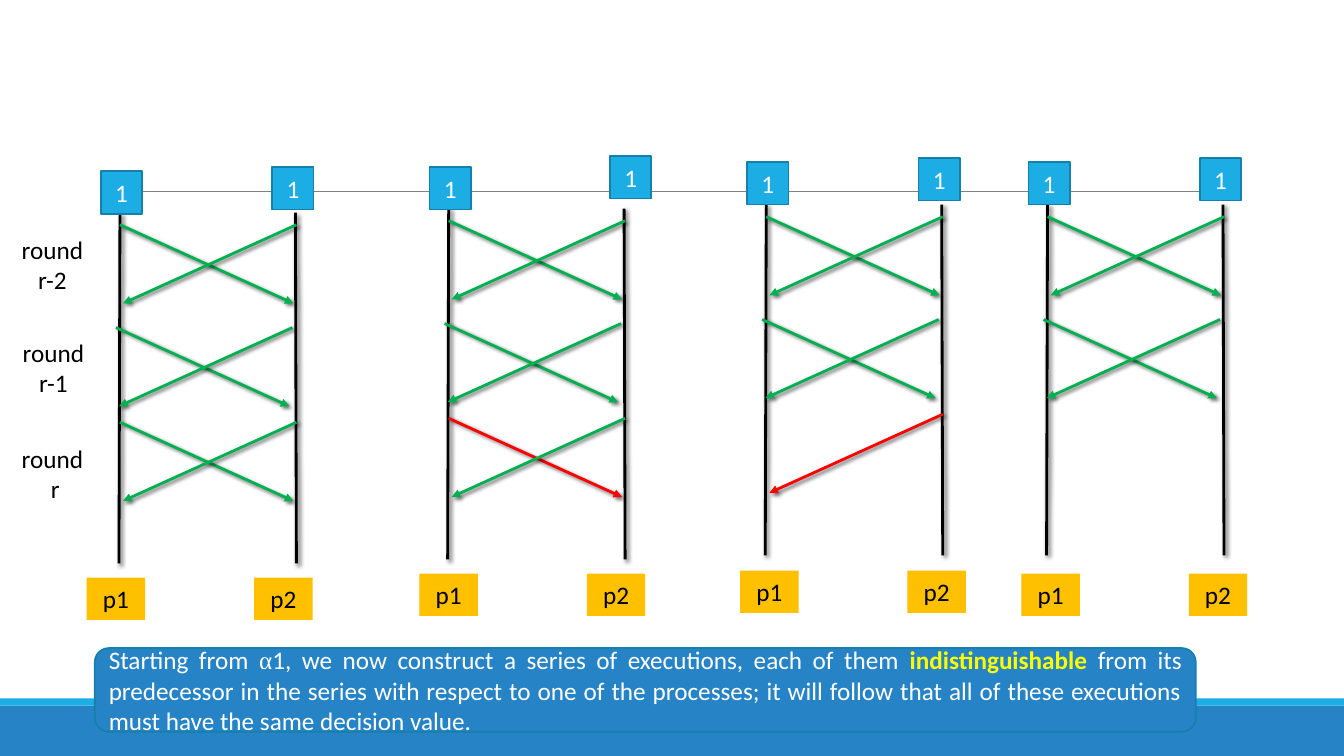
import pptx
import pptx.dml.color
import pptx.enum.shapes
import pptx.enum.text
import pptx.oxml
import pptx.oxml.ns
import pptx.util
from pptx.util import Inches

SHAPE = pptx.enum.shapes.MSO_SHAPE
ALIGN = pptx.enum.text.PP_ALIGN
BLUE, CYAN, EDGE = "2683C6", "1CADE4", "1580A9"
GREEN, RED, BLACK, WHITE = "00B050", "FF0000", "000000", "FFFFFF"

# Each execution: top of the p1 line, input box offsets and tops,
# process label left and top, and the message colours (p1 to p2, p2 to p1) by round
EXECUTIONS = [
    dict(x=1.19, y=2.11, gap=1.7, tops=(1.7, 1.66), label=(0.86, 5.73),
         rounds=[(GREEN, GREEN), (GREEN, GREEN), (GREEN, GREEN)]),
    dict(x=4.45, y=2.07, gap=1.79, tops=(1.66, 1.55), label=(4.16, 5.69),
         rounds=[(GREEN, GREEN), (GREEN, GREEN), (RED, GREEN)]),
    dict(x=7.6, y=2.03, gap=1.7, tops=(1.61, 1.57), label=(7.34, 5.66),
         rounds=[(GREEN, GREEN), (GREEN, GREEN), (None, RED)]),
    dict(x=10.39, y=2.03, gap=1.7, tops=(1.61, 1.57), label=(10.13, 5.69),
         rounds=[(GREEN, GREEN), (GREEN, GREEN)]),
]
ROUND_OFFSETS = [(0, 0.12), (-0.04, 1.14), (0, 2.08)]
SHADOW = (
    '<a:outerShdw blurRad="38100" dist="25400" dir="2700000" algn="tl" rotWithShape="0">'
    '<a:srgbClr val="000000"><a:alpha val="60000"/></a:srgbClr></a:outerShdw>'
)


def rgb(color):
    return pptx.dml.color.RGBColor.from_string(color)


def add_run(p, text, size=18, font="Calibri", color=BLACK, bold=False):
    r = p.add_run()
    r.text = text
    r.font.size = pptx.util.Pt(size)
    r.font.name = font
    r.font.bold = bold
    r.font.color.rgb = rgb(color)


def add_box(s, x, y, w, h, fill, edge=None, kind=SHAPE.RECTANGLE, paragraphs=(),
            align=ALIGN.CENTER, color=BLACK):
    """Add a filled shape; each paragraph is a list of (text, format) runs."""
    sp = s.shapes.add_shape(kind, Inches(x), Inches(y), Inches(w), Inches(h))
    sp.shadow.inherit = False
    sp.fill.solid()
    sp.fill.fore_color.rgb = rgb(fill)
    if edge:
        sp.line.color.rgb = rgb(edge)
        sp.line.width = pptx.util.Pt(1.25)
    else:
        sp.line.fill.background()
    tf = sp.text_frame
    tf.word_wrap = True
    tf.vertical_anchor = pptx.enum.text.MSO_ANCHOR.MIDDLE
    for i, runs in enumerate(paragraphs):
        p = tf.add_paragraph() if i else tf.paragraphs[0]
        p.alignment = align
        for text, style in runs:
            add_run(p, text, **{"color": color, **style})


def add_line(s, x1, y1, x2, y2, color=BLACK, width=2, arrow=False, shadow=True):
    ln = s.shapes.add_connector(pptx.enum.shapes.MSO_CONNECTOR.STRAIGHT,
                                Inches(x1), Inches(y1), Inches(x2), Inches(y2))
    ln.line.color.rgb = rgb(color)
    ln.line.width = pptx.util.Pt(width)
    if arrow:
        tail = pptx.oxml.parse_xml(
            f'<a:tailEnd {pptx.oxml.ns.nsdecls("a")} type="triangle"/>')
        ln.line._get_or_add_ln().append(tail)
    effects = SHADOW if shadow else ""
    ln._element.spPr.append(pptx.oxml.parse_xml(
        f'<a:effectLst {pptx.oxml.ns.nsdecls("a")}>{effects}</a:effectLst>'))


def add_execution(s, x, y, gap, tops, label, rounds):
    # Process lines
    add_line(s, x, y, x - 0.01, y + 3.48)
    add_line(s, x + 1.74, y, x + 1.75, y + 3.48)
    # Messages
    for (dx, dy), (right, left) in zip(ROUND_OFFSETS, rounds):
        mx, my = x + dx, y + dy
        if right:
            add_line(s, mx, my, mx + 1.72, my + 0.78, right, arrow=True)
        if left:
            add_line(s, mx + 1.75, my, mx + 0.03, my + 0.78, left, arrow=True)
    # Input values and process names
    for i, top in enumerate(tops):
        add_box(s, x - 0.19 + i * gap, top, 0.41, 0.42, CYAN, EDGE,
                paragraphs=[[("1", {})]], color=WHITE)
        add_box(s, label[0] + i * 1.66, label[1], 0.58, 0.42, "FFC000",
                paragraphs=[[(f"p{i + 1}", {})]])


def main():
    prs = pptx.Presentation()
    prs.slide_width, prs.slide_height = Inches(13.33), Inches(7.5)
    s = prs.slides.add_slide(prs.slide_layouts[6])

    # Footer bands and title rule
    add_box(s, 0, 7, 13.33, 0.5, BLUE)
    add_box(s, 0, 6.93, 13.33, 0.07, CYAN)
    add_line(s, 1.31, 1.9, 12.21, 1.9, "808080", 0.5, shadow=False)

    for execution in EXECUTIONS:
        add_execution(s, **execution)

    # Round labels
    for x, y, lines in [(0.04, 2.38, ["round r-2"]), (0.05, 3.4, ["round r-1"]),
                        (0.04, 4.45, ["round", " r"])]:
        add_box(s, x, y, 0.96, 0.49, WHITE, paragraphs=[[(t, {})] for t in lines])

    # Explanation
    explanation = [
        ("Starting from ", {}),
        ("α", {"font": "Times New Roman"}),
        ("1, we now construct a series of executions, each of them ", {}),
        ("indistinguishable ", {"color": "FFFF00", "bold": True}),
        ("from its predecessor in the series with respect to one of the processes; "
         "it will follow that all of these executions must have the same decision value.", {}),
    ]
    add_box(s, 0.94, 6.43, 10.92, 0.83, BLUE, EDGE, SHAPE.ROUNDED_RECTANGLE,
            [explanation], ALIGN.JUSTIFY, WHITE)

    prs.save("out.pptx")


if __name__ == "__main__":
    main()
